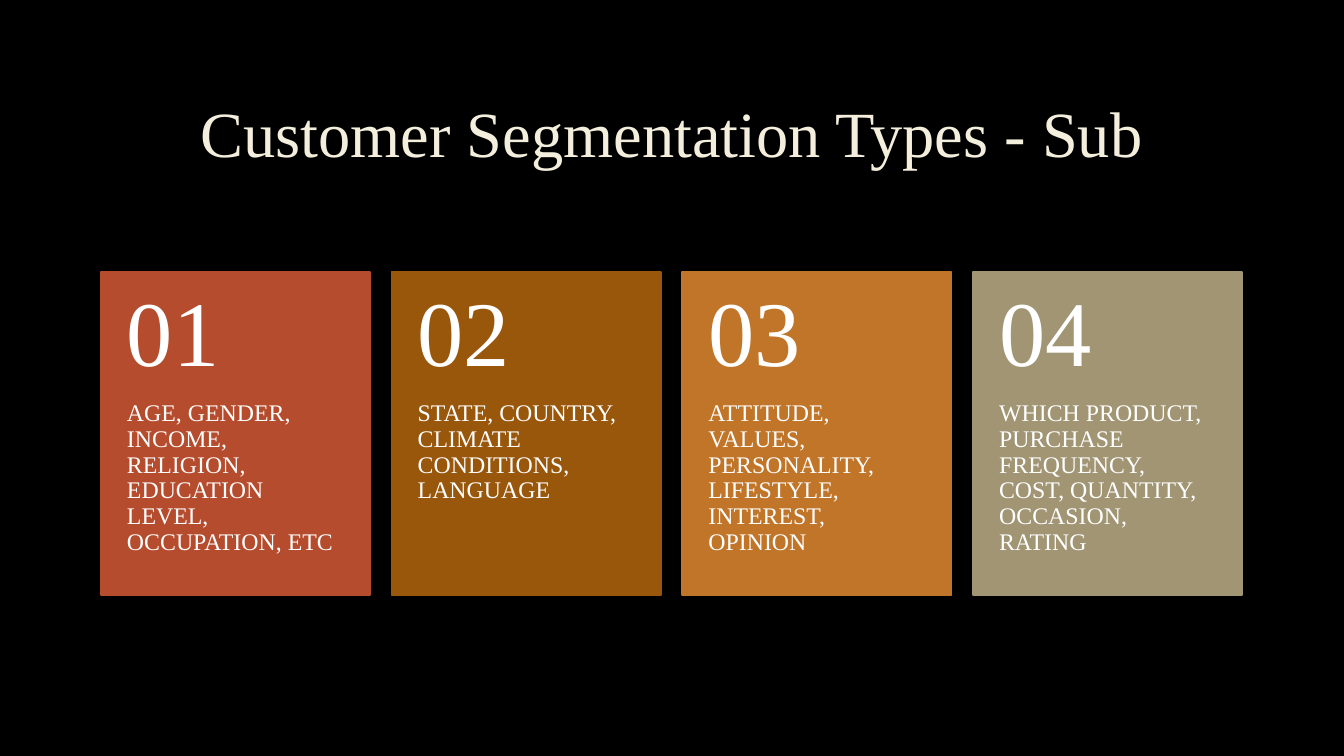
from dataclasses import dataclass

from pptx import Presentation
from pptx.dml.color import RGBColor
from pptx.enum.shapes import MSO_SHAPE as Shape
from pptx.enum.text import MSO_ANCHOR as Anchor, PP_ALIGN as Align
from pptx.util import Inches, Pt


@dataclass(frozen=True)
class Theme:
    font: str = "Times New Roman"
    background: str = "000000"
    title_color: str = "F4EEDC"
    card_text: str = "FFFFFF"
    card_fills: tuple = ("B54C2D", "99570C", "C17529", "A19574")
    title_size: int = 46
    number_size: int = 66
    body_size: int = 17
    border: float = 1.25
    line_spacing: float = 0.9


@dataclass(frozen=True)
class CardGrid:
    """A row of equal columns; card heights are shared out by number_share."""
    left: float = 1
    top: float = 2.7
    width: float = 11.32
    height: float = 3.2
    column_width: float = 2.67
    columns: int = 4
    number_share: float = 0.4

    def column_left(self, column):
        pitch = (self.width - self.column_width) / (self.columns - 1)
        return self.left + column * pitch


class SlideBuilder:
    def __init__(self, deck, theme, grid):
        self.theme = theme
        self.grid = grid
        self.page = deck.slides.add_slide(deck.slide_layouts[6])
        fill = self.page.background.fill
        fill.solid()
        fill.fore_color.rgb = RGBColor.from_string(theme.background)

    def text(self, shapes, area, words, size, color, insets=(0.1, 0.05, 0.1, 0.05),
             anchor=Anchor.MIDDLE, align=Align.LEFT):
        """Insets run left, top, right, bottom, in inches."""
        frame = shapes.add_textbox(*map(Inches, area)).text_frame
        frame.word_wrap = True
        frame.vertical_anchor = anchor
        (frame.margin_left, frame.margin_top,
         frame.margin_right, frame.margin_bottom) = map(Inches, insets)
        frame.text = words
        para = frame.paragraphs[0]
        para.alignment = align
        para.line_spacing = self.theme.line_spacing
        font = para.runs[0].font
        font.name = self.theme.font
        font.size = Pt(size)
        font.color.rgb = RGBColor.from_string(color)

    def title(self, words):
        area = (self.grid.left, 0.67, self.grid.width, 1.38)
        self.text(self.page.shapes, area, words, self.theme.title_size,
                  self.theme.title_color, align=Align.CENTER)

    def panel(self, shapes, area, color):
        panel = shapes.add_shape(Shape.RECTANGLE, *map(Inches, area))
        panel.shadow.inherit = False
        panel.fill.solid()
        panel.fill.fore_color.rgb = RGBColor.from_string(color)
        panel.line.color.rgb = RGBColor.from_string(color)
        panel.line.width = Pt(self.theme.border)

    def card(self, column, words):
        grid, theme = self.grid, self.theme
        left, width = grid.column_left(column), grid.column_width
        number_height = grid.height * grid.number_share
        shapes = self.page.shapes.add_group_shape().shapes
        self.panel(shapes, (left, grid.top, width, grid.height),
                   theme.card_fills[column])
        self.text(shapes, (left, grid.top + number_height, width,
                           grid.height - number_height),
                  words, theme.body_size, theme.card_text,
                  insets=(0.26, 0, 0.26, 0.36), anchor=Anchor.TOP)
        self.text(shapes, (left, grid.top, width, number_height),
                  f"{column + 1:02d}", theme.number_size, theme.card_text,
                  insets=(0.26, 0.18, 0.26, 0.18))


SEGMENTS = (
    "AGE, GENDER, INCOME, RELIGION, EDUCATION LEVEL, OCCUPATION, ETC",
    "STATE, COUNTRY, CLIMATE CONDITIONS, LANGUAGE",
    "ATTITUDE, VALUES, PERSONALITY, LIFESTYLE, INTEREST, OPINION",
    "WHICH PRODUCT, PURCHASE FREQUENCY, COST, QUANTITY, OCCASION, RATING",
)


def main():
    deck = Presentation()
    deck.slide_width, deck.slide_height = Inches(13.33), Inches(7.5)
    builder = SlideBuilder(deck, Theme(), CardGrid(columns=len(SEGMENTS)))
    for column, words in enumerate(SEGMENTS):
        builder.card(column, words)
    builder.title("Customer Segmentation Types - Sub")
    deck.save("out.pptx")


if __name__ == "__main__":
    main()
